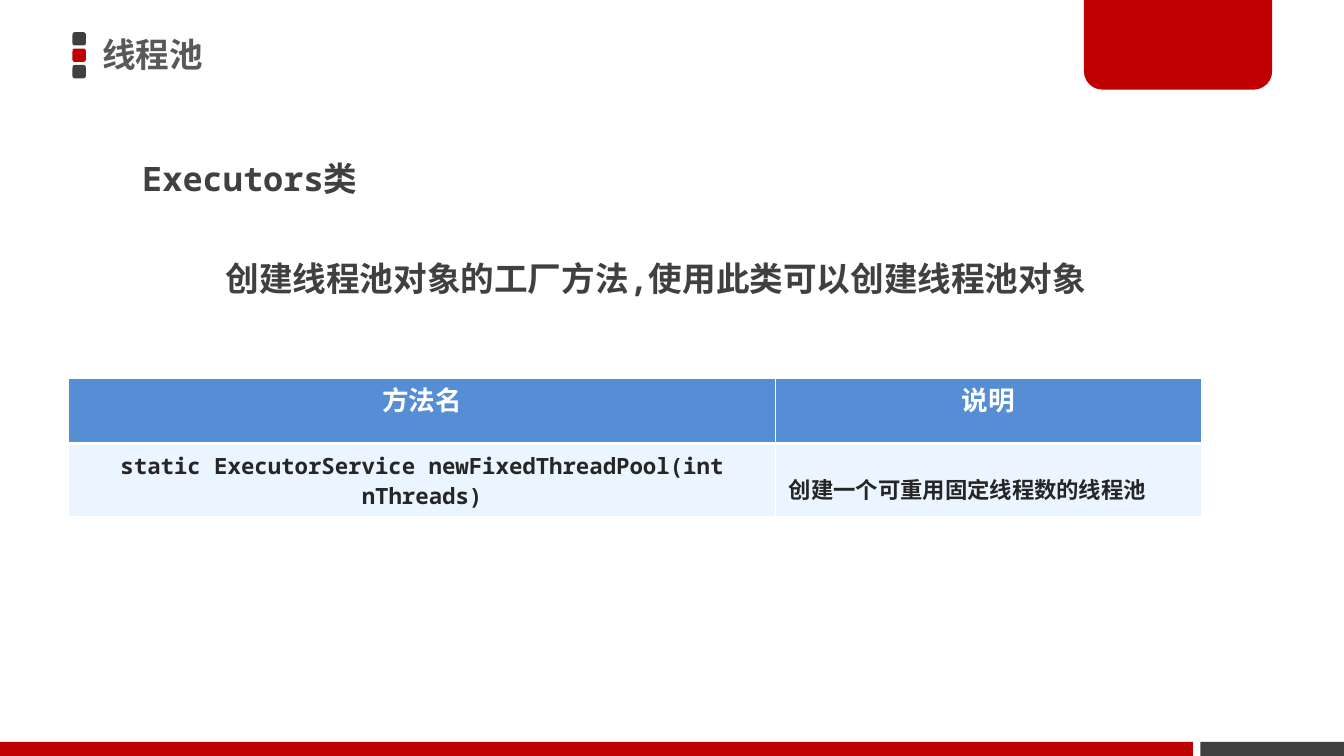
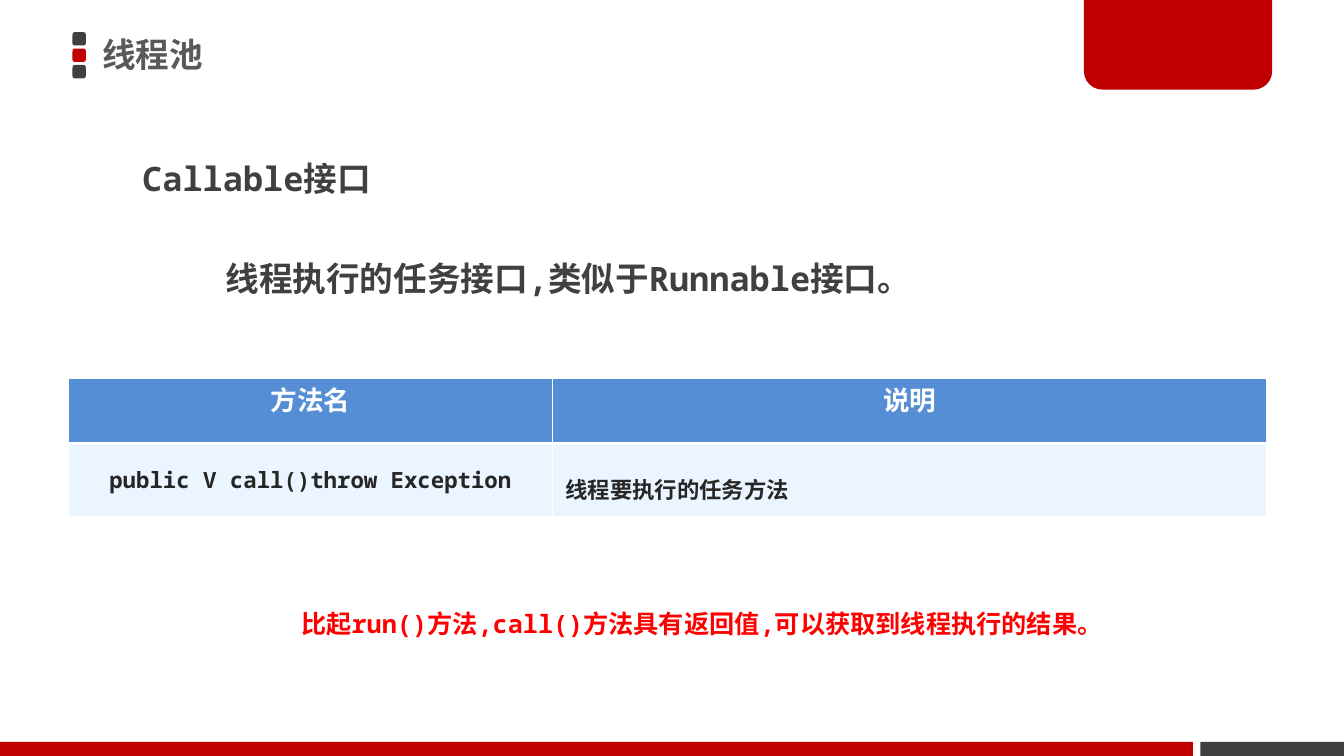
import pptx
import pptx.util
import pptx.dml.color
import pptx.enum.shapes
import pptx.enum.text
import pptx.oxml
import pptx.oxml.ns

Pt = pptx.util.Pt
Kind = pptx.enum.shapes.MSO_SHAPE
Align = pptx.enum.text.PP_ALIGN
Anchor = pptx.enum.text.MSO_ANCHOR
Size = pptx.enum.text.MSO_AUTO_SIZE

RED, DARK, GREY, WHITE = "C00000", "404040", "595959", "FFFFFF"
HEAD, PALE, INK, ALERT = "558ED5", "EBF5FF", "262626", "FF0000"
MONO, SANS, TITLE = "Noto Sans Mono", "Noto Sans CJK SC", "Noto Sans CJK JP"
NS = pptx.oxml.ns.nsdecls("a")


def color(code):
    return pptx.dml.color.RGBColor.from_string(code)


def shape(slide, kind, box, fill):
    item = slide.shapes.add_shape(kind, *map(Pt, box))
    item.shadow.inherit = False
    item.fill.solid()
    item.fill.fore_color.rgb = color(fill)
    item.line.fill.background()
    return item


def write(frame, words, size, font, ink, space=None, align=Align.LEFT):
    par = frame.paragraphs[0]
    par.alignment = align
    if space:
        par.line_spacing = space
    run = par.add_run()
    run.text = words
    run.font.size, run.font.name, run.font.bold = Pt(size), font, True
    run.font.color.rgb = color(ink)
    # East Asian glyphs need their own typeface
    face = SANS if font == MONO else font
    run.font._element.append(pptx.oxml.parse_xml(f'<a:ea {NS} typeface="{face}"/>'))


def label(slide, box, words, size=24, font=MONO, ink=DARK, space=1.5, mid=False):
    frame = slide.shapes.add_textbox(*map(Pt, box)).text_frame
    frame.word_wrap = True
    frame.auto_size = Size.NONE if mid else Size.SHAPE_TO_FIT_TEXT
    frame.vertical_anchor = Anchor.MIDDLE if mid else Anchor.TOP
    write(frame, words, size, font, ink, space)


def header(slide, left, top, title):
    # Three stacked squares, title and corner tab
    for row, fill in enumerate((DARK, RED, DARK)):
        shape(slide, Kind.ROUNDED_RECTANGLE, (left, top + row * 11.7, 9.5, 9.5), fill)
    label(slide, (left + 14.2, top - 25, 565, 85), title, font=TITLE, ink=GREY,
          space=0.9, mid=True)
    tab = shape(slide, Kind.ROUND_2_SAME_RECTANGLE, (left + 722.4, top - 25, 134.5, 66), RED)
    tab.rotation = 180
    tab.adjustments[0] = 0.2


def footer(slide, top, high=10):
    shape(slide, Kind.RECTANGLE, (0, top, 852, high), RED)
    shape(slide, Kind.RECTANGLE, (857.5, top, 102.5, high), DARK)


def style(cell, fill, edges):
    cell.fill.solid()
    cell.fill.fore_color.rgb = color(fill)
    cell.margin_left = cell.margin_right = Pt(9.5)
    cell.margin_top = cell.margin_bottom = Pt(4.8)
    props = cell._tc.get_or_add_tcPr()
    for spot, (side, width) in enumerate(zip("LRTB", edges)):
        props.insert(spot, pptx.oxml.parse_xml(
            f'<a:ln{side} {NS} w="{Pt(width)}"><a:solidFill>'
            f'<a:srgbClr val="{WHITE}"/></a:solidFill></a:ln{side}>'))


def methods(slide, left, top, widths, entry):
    highs = (46.8, 52.5)
    table = slide.shapes.add_table(2, 2, Pt(left), Pt(top), Pt(sum(widths)),
                                   Pt(sum(highs))).table
    for row, high in zip(table.rows, highs):
        row.height = Pt(high)
    for col, width in enumerate(widths):
        table.columns[col].width = Pt(width)
        # Heading row
        cell = table.cell(0, col)
        style(cell, HEAD, (1, 1, 1, 3))
        write(cell.text_frame, ("方法名", "说明")[col], 19, SANS, WHITE, Pt(24), Align.CENTER)
        # Method row
        cell = table.cell(1, col)
        style(cell, PALE, (1, 1, 3, 1))
        cell.vertical_anchor = Anchor.MIDDLE
        write(cell.text_frame, entry[col], 16, MONO, INK, (None, 1.5)[col],
              (Align.CENTER, Align.LEFT)[col])


def page(deck, topic, about, wide, widths, entry, note=None):
    slide = deck.slides.add_slide(deck.slide_layouts[6])
    header(slide, 51.8, 23, "线程池")
    footer(slide, 530)
    label(slide, (94.5, 94.5, 368.5, 47), topic)
    label(slide, (154, 166.5, wide, 47), about)
    methods(slide, 49, 270, widths, entry)
    if note:
        label(slide, (208, 431, 680, 29), note, 18, ink=ALERT, space=None)


def main():
    deck = pptx.Presentation()
    deck.slide_width, deck.slide_height = Pt(960), Pt(540)
    page(deck, "Executors类", "创建线程池对象的工厂方法,使用此类可以创建线程池对象",
         652.5, (505, 304),
         ("static ExecutorService newFixedThreadPool(int nThreads)",
          "创建一个可重用固定线程数的线程池"))
    page(deck, "Callable接口", "线程执行的任务接口,类似于Runnable接口。",
         700.5, (345.5, 510.5),
         ("public V call()throw Exception", "线程要执行的任务方法"),
         "比起run()方法,call()方法具有返回值,可以获取到线程执行的结果。")
    deck.save("out.pptx")


if __name__ == "__main__":
    main()
